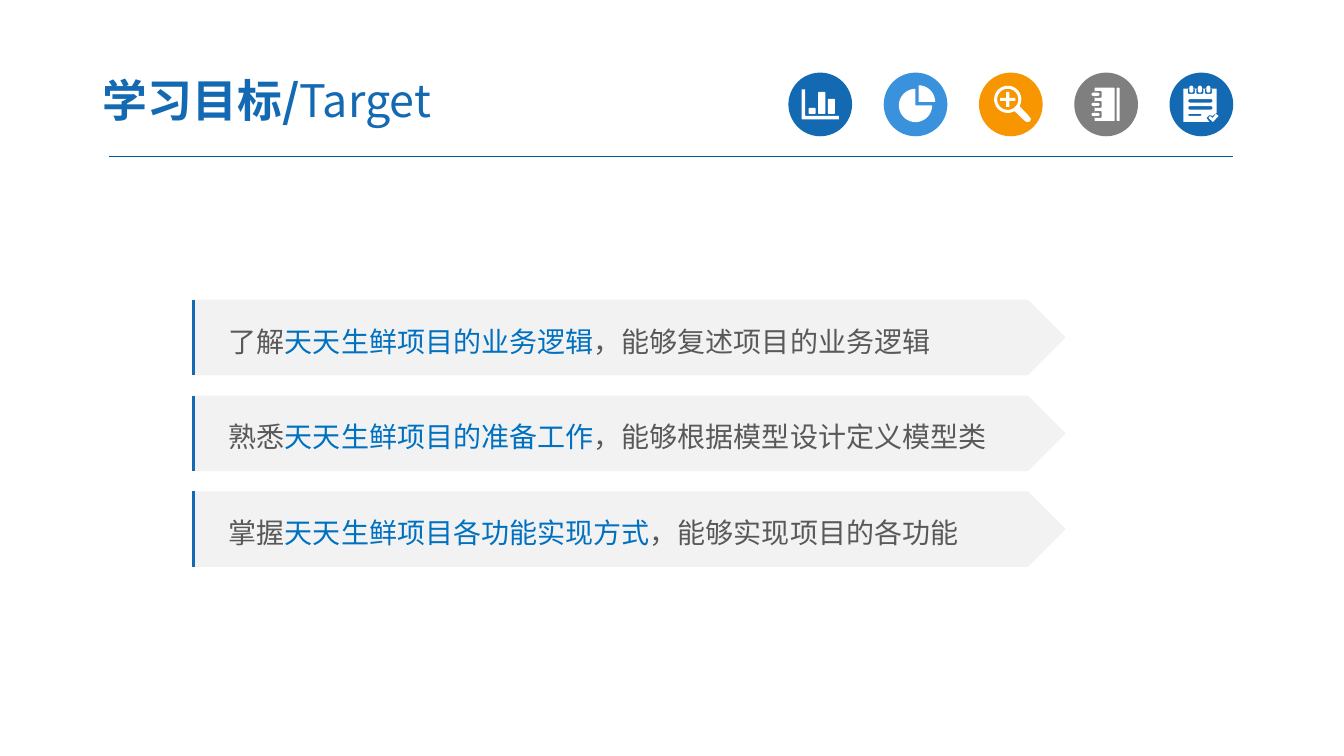
from dataclasses import dataclass
from math import cos, radians, sin

from lxml.etree import SubElement
from pptx import Presentation
from pptx.dml.color import RGBColor as RGB
from pptx.enum.shapes import MSO_CONNECTOR as LINE, MSO_SHAPE as SHAPE
from pptx.enum.text import MSO_ANCHOR as ANCHOR, PP_ALIGN as ALIGN
from pptx.oxml.ns import qn
from pptx.util import Emu, Inches, Pt


@dataclass(frozen=True)
class Theme:
    font: str = "Noto Sans CJK SC"
    blue: str = "1369B2"
    sky: str = "3992DB"
    orange: str = "F79600"
    gray: str = "7F7F7F"
    rule: str = "005B9E"
    bar: str = "F2F2F2"
    body: str = "595959"
    accent: str = "0070C0"
    white: str = "FFFFFF"
    title_pt: int = 32
    body_pt: int = 20


# Icon outlines are point lists in hundredths of an inch from the disc's centre.
def arc(cx, cy, r, start=0, end=360, steps=32):
    angles = [radians(start + (end - start) * i / steps) for i in range(steps + 1)]
    return [(cx + r * cos(a), cy + r * sin(a)) for a in angles]


def box(x1, y1, x2, y2, r=1):
    """Rectangle with corners rounded by r."""
    corners = [(x2 - r, y2 - r), (x1 + r, y2 - r), (x1 + r, y1 + r), (x2 - r, y1 + r)]
    return [pt for i, (cx, cy) in enumerate(corners)
            for pt in arc(cx, cy, r, 90 * i, 90 * i + 90, 6)]


def bar_chart_icon():
    axes = [(-18.5, -15), (-15, -15), (-15, 11.5), (18.5, 11.5), (18.5, 15), (-18.5, 15)]
    tops = [3.5, -12.5, -5.5]
    return [axes] + [box(-11.5 + 9.5 * i, top, -4.5 + 9.5 * i, 9.5)
                     for i, top in enumerate(tops)]


def pie_icon():
    return [[(0, 1)] + arc(0, 1, 16.5, 0, 270), [(3, -2.5)] + arc(3, -2.5, 16.5, 270, 360)]


def magnifier_icon():
    x, y, arm, half = -3, -5, 7.5, 1.5
    handle = [(18, 11.5), (20, 14.5), (19, 17), (16, 17.5), (14, 16.5)]
    plus = [(half, -arm), (half, -half), (arm, -half), (arm, half), (half, half), (half, arm)]
    plus += [(-px, -py) for px, py in plus]
    return [arc(x, y, 13.5, 60, 390) + handle, arc(x, y, 10.5),
            [(x + px, y + py) for px, py in plus]]


def notebook_icon():
    outlines = [box(10.5, -16.5, 13.5, 16.5), box(-11.5, -16.5, 8.5, 16.5)]
    for y in (-10, 0, 10):
        outlines += [box(-11.5, y - 3.5, -4.5, y + 3.5), box(-14.5, y - 1.5, -6.5, y + 1.5, 1.5)]
    return outlines


def notepad_icon():
    page = [(-18, -15.5), (15, -15.5), (15, 8.5), (11, 11.5), (8, 10.5), (5, 13.5),
            (8, 17.5), (-18, 17.5)]
    tick = [(7, 13.5), (8.5, 11.5), (11, 13.5), (14.5, 9.5), (17, 11.5), (11.5, 17.5)]
    outlines = [page, tick]
    for y, right, half in [(-3.5, 11, 1.75), (3.5, 11, 1.75), (10.5, 0, 1)]:
        outlines.append(box(-13, y - half, right, y + half, half))
    for x in (-10, -1.5, 7):
        outlines += [box(x - 3.5, -15.5, x + 3.5, -10.5), box(x - 2, -18.5, x + 2, -11.5, 2)]
    return outlines


class Deck:
    """Holds theme and slide; lengths are percent of the slide's width or height."""

    def __init__(self, theme):
        self.theme = theme
        self.prs = Presentation()
        self.prs.slide_width, self.prs.slide_height = Inches(13.33), Inches(7.5)
        self.shapes = self.prs.slides.add_slide(self.prs.slide_layouts[6]).shapes

    def x(self, share):
        return Emu(round(self.prs.slide_width * share / 100))

    def y(self, share):
        return Emu(round(self.prs.slide_height * share / 100))

    def paint(self, sp, color):
        sp.shadow.inherit = False
        sp.fill.solid()
        sp.fill.fore_color.rgb = RGB.from_string(color)
        sp.line.fill.background()

    def line(self, x1, y1, x2, y2, color, width):
        cxn = self.shapes.add_connector(LINE.STRAIGHT, self.x(x1), self.y(y1),
                                        self.x(x2), self.y(y2))
        cxn.line.color.rgb = RGB.from_string(color)
        cxn.line.width = Pt(width)
        SubElement(cxn._element.spPr, qn("a:effectLst"))

    def add_text(self, sp, runs, size, spacing=1.0):
        """Fill sp with one paragraph of (text, colour, bold) runs."""
        tf = sp.text_frame
        tf.word_wrap = True
        tf.vertical_anchor = ANCHOR.MIDDLE
        p = tf.paragraphs[0]
        p.alignment = ALIGN.LEFT
        p.line_spacing = spacing
        for text, color, bold in runs:
            r = p.add_run()
            r.text = text
            r.font.size, r.font.bold, r.font.name = Pt(size), bold, self.theme.font
            r.font.color.rgb = RGB.from_string(color)
            SubElement(r.font._element, qn("a:ea"), typeface=self.theme.font)

    def title(self, x, y, w, h, heading, english):
        sp = self.shapes.add_textbox(self.x(x), self.y(y), self.x(w), self.y(h))
        tf = sp.text_frame
        tf.margin_left = tf.margin_right = Inches(0.13)
        tf.margin_top = tf.margin_bottom = Inches(0.07)
        blue = self.theme.blue
        self.add_text(sp, [(heading, blue, True), (english, blue, False)], self.theme.title_pt)

    def icon(self, x, y, w, color, outlines):
        """White outlines on a coloured disc of width w."""
        size = self.x(w)
        disc = self.shapes.add_shape(SHAPE.OVAL, self.x(x), self.y(y), size, size)
        self.paint(disc, color)
        fine = 100
        pen = None
        for outline in outlines:
            points = [(px * fine, py * fine) for px, py in outline]
            if pen is None:
                pen = self.shapes.build_freeform(*points[0], scale=Inches(0.01) / fine)
            else:
                pen.move_to(*points[0])
            pen.add_line_segments(points[1:], close=True)
        self.paint(pen.convert_to_shape(disc.left + size // 2, disc.top + size // 2),
                   self.theme.white)

    def goal(self, x, y, w, h, verb, topic, outcome):
        t = self.theme
        sp = self.shapes.add_shape(SHAPE.PENTAGON, self.x(x), self.y(y), self.x(w), self.y(h))
        self.paint(sp, t.bar)
        sp.text_frame.margin_left = Inches(0.35)
        self.add_text(sp, [(verb, t.body, False), (topic, t.accent, False),
                           (outcome, t.body, False)], t.body_pt, 1.2)
        self.line(x, y, x, y + h, t.blue, 1.5)


def main():
    t = Theme()
    deck = Deck(t)
    deck.line(8.1, 20.67, 91.75, 20.67, t.rule, 0.75)
    icons = [(t.blue, bar_chart_icon), (t.sky, pie_icon), (t.orange, magnifier_icon),
             (t.gray, notebook_icon), (t.blue, notepad_icon)]
    for i, (color, outlines) in enumerate(icons):
        deck.icon(58.66 + 7.09 * i, 9.6, 4.74, color, outlines())
    deck.title(6.68, 8.4, 39.16, 9.6, "学习目标/", "Target")
    goals = [("了解", "天天生鲜项目的业务逻辑", "，能够复述项目的业务逻辑"),
             ("熟悉", "天天生鲜项目的准备工作", "，能够根据模型设计定义模型类"),
             ("掌握", "天天生鲜项目各功能实现方式", "，能够实现项目的各功能")]
    for i, goal in enumerate(goals):
        deck.goal(14.4, 39.65 + 12.67 * i, 64.89, 10, *goal)
    deck.prs.save("out.pptx")


if __name__ == "__main__":
    main()
